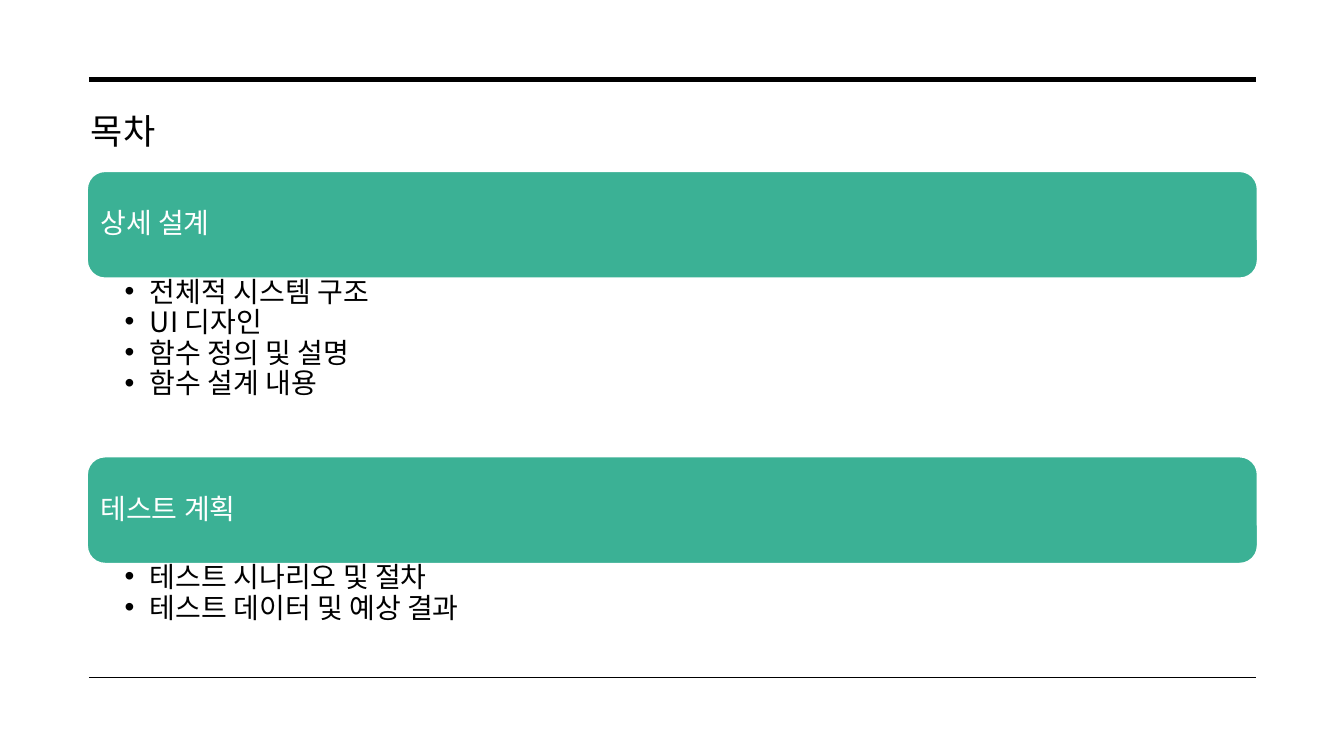
from lxml import etree
from pptx import Presentation
from pptx.dml.color import RGBColor
from pptx.enum.shapes import MSO_CONNECTOR, MSO_SHAPE
from pptx.enum.text import MSO_ANCHOR, MSO_AUTO_SIZE, PP_ALIGN
from pptx.oxml.ns import qn
from pptx.util import Cm, Pt

LINE = MSO_CONNECTOR.STRAIGHT
ROUND = MSO_SHAPE.ROUNDED_RECTANGLE
TOP, MIDDLE = MSO_ANCHOR.TOP, MSO_ANCHOR.MIDDLE
NO_FIT = MSO_AUTO_SIZE.NONE
LEFT = PP_ALIGN.LEFT

FONT = "Noto Sans CJK KR"
COLOR = {"ink": "000000", "bar": "3BB195", "paper": "FFFFFF"}
BAR_H = 2.69
TOPICS = [
    ("상세 설계", 4.5,
     ["전체적 시스템 구조", "UI 디자인", "함수 정의 및 설명", "함수 설계 내용"]),
    ("테스트 계획", 2.39,
     ["테스트 시나리오 및 절차", "테스트 데이터 및 예상 결과"]),
]


def rgb(name):
    return RGBColor.from_string(COLOR[name])


def set_frame(frame, insets, anchor):
    frame.word_wrap = True
    frame.auto_size = NO_FIT
    frame.vertical_anchor = anchor
    (frame.margin_left, frame.margin_top,
     frame.margin_right, frame.margin_bottom) = map(Cm, insets)


def add_text(para, text, size, color, leading=0.9, after=0):
    para.alignment = LEFT
    para.line_spacing = leading
    para.space_before, para.space_after = Pt(0), Pt(after)
    run = para.add_run()
    run.text = text
    run.font.size = Pt(size)
    run.font.name = FONT
    run.font.color.rgb = rgb(color)
    etree.SubElement(run.font._element, qn("a:ea"), typeface=FONT)
    return run


def add_bullet(para):
    props = para._p.get_or_add_pPr()
    props.set("marL", str(Cm(0.64)))
    props.set("indent", str(-Cm(0.64)))
    etree.SubElement(props, qn("a:buFont"), typeface="Arial")
    etree.SubElement(props, qn("a:buChar"), char="•")


def add_rule(slide, left, top, width, weight):
    rule = slide.shapes.add_connector(
        LINE, Cm(left), Cm(top), Cm(left + width), Cm(top))
    rule.line.color.rgb = rgb("ink")
    rule.line.width = Pt(weight)
    etree.SubElement(rule._element.spPr, qn("a:effectLst"))


def add_title(slide, left, top, width, height, text):
    title = slide.shapes.title
    title.left, title.top = Cm(left), Cm(top)
    title.width, title.height = Cm(width), Cm(height)
    set_frame(title.text_frame, (0.3, 0.3, 0.3, 0.25), TOP)
    run = add_text(title.text_frame.paragraphs[0], text, 25, "ink")
    run.font._element.set("spc", "80")


def add_topic(slide, left, top, width, height, head, items):
    # Heading bar
    bar = slide.shapes.add_shape(
        ROUND, Cm(left), Cm(top), Cm(width), Cm(BAR_H))
    bar.shadow.inherit = False
    bar.fill.solid()
    bar.fill.fore_color.rgb = rgb("bar")
    bar.line.color.rgb = rgb("paper")
    bar.line.width = Pt(1)
    set_frame(bar.text_frame, (0.2, 0.2, 0.2, 0.2), MIDDLE)
    add_text(bar.text_frame.paragraphs[0], head, 20, "paper")

    # Bullet list
    box = slide.shapes.add_textbox(
        Cm(left), Cm(top + BAR_H), Cm(width), Cm(height - BAR_H))
    frame = box.text_frame
    set_frame(frame, (0.94, 0.08, 0.41, 0.08), TOP)
    for i, item in enumerate(items):
        para = frame.paragraphs[0] if i == 0 else frame.add_paragraph()
        add_text(para, item, 20, "ink", 0.78, 3.1)
        add_bullet(para)


def add_agenda(slide, left, top, width):
    # Rules above and below
    add_rule(slide, left, top, width, 3.5)
    add_rule(slide, left, top + 15.06, width, 1)

    # Title
    add_title(slide, left - 0.26, top + 0.56, width + 0.28, 1.96, "목차")

    # Stacked topics
    y = top + 2.31
    for head, list_h, items in TOPICS:
        height = BAR_H + list_h
        add_topic(slide, left - 0.04, y, width + 0.08, height, head, items)
        y += height


prs = Presentation()
prs.slide_width, prs.slide_height = Cm(33.87), Cm(19.05)
page = prs.slides.add_slide(prs.slide_layouts[5])
add_agenda(page, 2.24, 2.01, 29.41)
prs.save("out.pptx")
